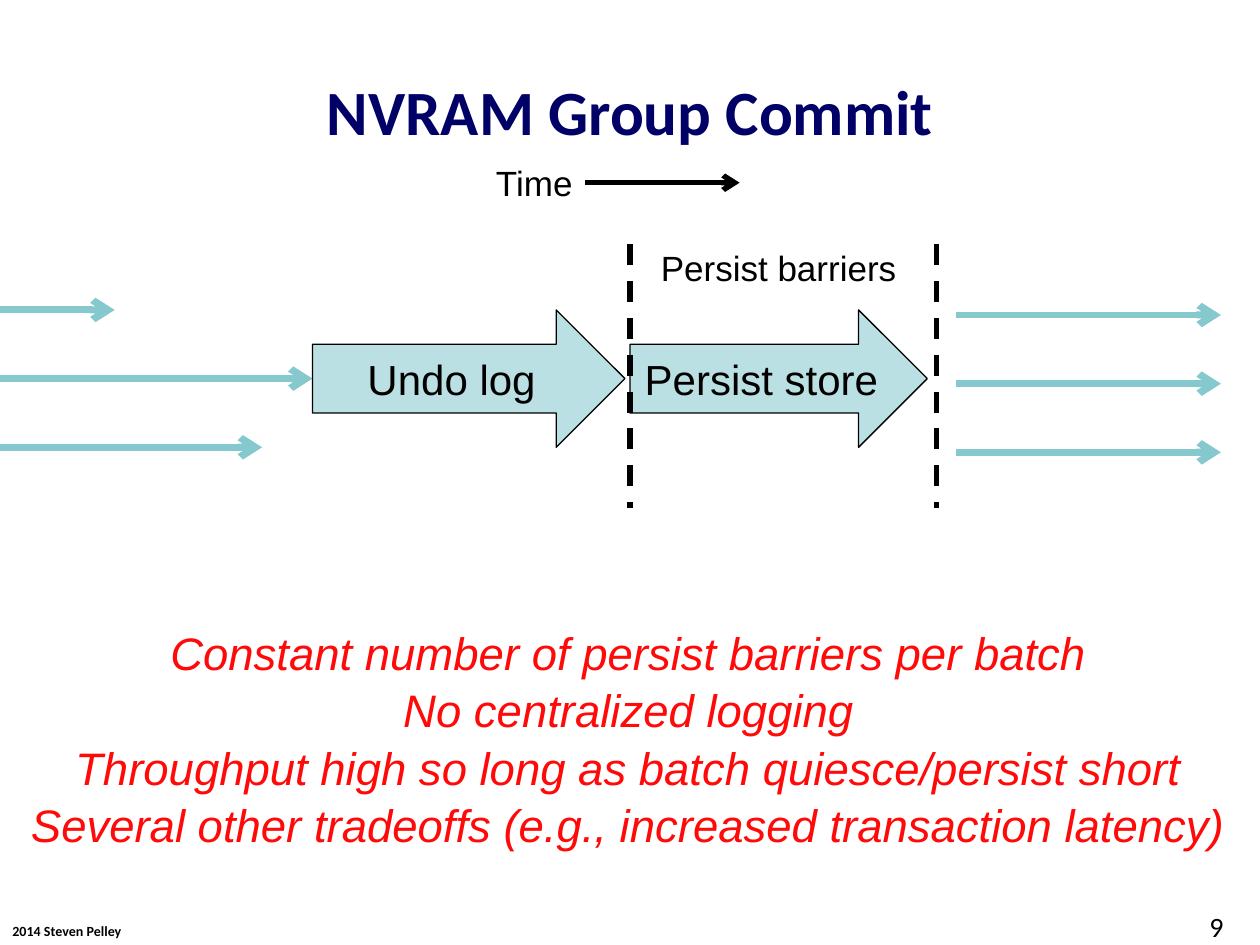
import pptx
import pptx.util
import pptx.dml.color
import pptx.enum.dml
import pptx.enum.shapes
import pptx.enum.text
import pptx.oxml.ns
import lxml.etree

Inches, Pt = pptx.util.Inches, pptx.util.Pt
ALIGN = pptx.enum.text.PP_ALIGN
ANCHOR = pptx.enum.text.MSO_ANCHOR

THEME = {
    "ink": "000000", "flow": "85C8CD", "fill": "BBE0E3",
    "title": dict(name="Calibri", size=36, color="000066", bold=True),
    "points": dict(name="Arial", size=26, color="FF0909", italic=True),
    "stage": dict(name="Arial", size=24, color="000000"),
    "label": dict(name="Arial", size=20, color="000000"),
    "number": dict(name="Calibri", size=16, color="000000"),
    "credit": dict(name="Calibri", size=8, color="000000", bold=True),
}

TITLE = "NVRAM Group Commit"
POINTS = [
    "Constant number of persist barriers per batch",
    "No centralized logging",
    "Throughput high so long as batch quiesce/persist short",
    "Several other tradeoffs (e.g., increased transaction latency)",
]
# text, style, box, alignment, wrap
LABELS = [
    ("2014 Steven Pelley", "credit", (0, 7.27, 1.07, 0.24), ALIGN.LEFT, False),
    ("9", "number", (9.5, 7.17, 0.5, 0.33), ALIGN.LEFT, True),
    ("Time", "label", (3.83, 1.23, 0.82, 0.44), ALIGN.CENTER, False),
    ("Persist barriers", "label", (4.98, 1.91, 2.4, 0.44), ALIGN.CENTER, True),
]
STAGE_TOP, STAGE_HEIGHT = 2.46, 1.09
STAGES = [("Undo log", 2.48, 2.48), ("Persist store", 5, 2.36)]
TIME_ARROW = (4.64, 5.87, 1.45)
LANE_STEP = STAGE_HEIGHT / 2
INCOMING = [(-2.68, 0.91), (-1.1, 2.48), (-1.5, 2.08)]
OUTGOING = [(7.59, 9.69)] * 3
OUTGOING_TOP = 2.5
BARRIERS = [5, 7.43]
BARRIER_SPAN = (1.94, 4.03)


def rgb(value):
    """Turn a hex string into a colour."""
    return pptx.dml.color.RGBColor.from_string(value)


def set_all(target, values):
    """Set every attribute in a dict of format values."""
    for name, value in values.items():
        setattr(target, name, value)


def write(shape, lines, style, box=None, align=ALIGN.CENTER,
          anchor=ANCHOR.TOP, wrap=True, spacing=1.0):
    """Place a shape and fill it with formatted paragraphs."""
    if box:
        set_all(shape, dict(zip(("left", "top", "width", "height"), map(Inches, box))))
    frame = shape.text_frame
    frame.text = "\n".join(lines)
    set_all(frame, dict(word_wrap=wrap, vertical_anchor=anchor,
                        auto_size=pptx.enum.text.MSO_AUTO_SIZE.NONE))
    font_values = dict(THEME[style])
    color = rgb(font_values.pop("color"))
    font_values["size"] = Pt(font_values["size"])
    for paragraph in frame.paragraphs:
        set_all(paragraph, dict(alignment=align, line_spacing=spacing,
                                space_before=Pt(0), space_after=Pt(0)))
        font = paragraph.runs[0].font
        set_all(font, font_values)
        font.color.rgb = color


def remove_bullets(shape):
    """Take bullets and indents off every paragraph."""
    for paragraph in shape.text_frame.paragraphs:
        properties = paragraph._p.get_or_add_pPr()
        properties.set("marL", "0")
        properties.set("indent", "0")
        lxml.etree.SubElement(properties, pptx.oxml.ns.qn("a:buNone"))


def add_line(shapes, start, end, color, width, arrow=False):
    """Draw a solid arrow, or a dashed line without a head."""
    line = shapes.add_connector(pptx.enum.shapes.MSO_CONNECTOR.STRAIGHT,
                                *map(Inches, start + end))
    line.line.color.rgb = rgb(color)
    line.line.width = Pt(width)
    if arrow:
        head = lxml.etree.SubElement(line.line._get_or_add_ln(), pptx.oxml.ns.qn("a:tailEnd"))
        head.set("type", "arrow")
    else:
        line.line.dash_style = pptx.enum.dml.MSO_LINE.DASH
    lxml.etree.SubElement(line._element.spPr, pptx.oxml.ns.qn("a:effectLst"))


def add_lanes(shapes, lanes, top):
    """Draw transaction arrows on evenly spaced lanes."""
    for row, (left, right) in enumerate(lanes):
        y = top + row * LANE_STEP
        add_line(shapes, (left, y), (right, y), THEME["flow"], 4, arrow=True)


def add_stage(shapes, text, left, width):
    """Draw a block arrow holding the name of a stage."""
    stage = shapes.add_shape(pptx.enum.shapes.MSO_SHAPE.RIGHT_ARROW,
                             *map(Inches, (left, STAGE_TOP, width, STAGE_HEIGHT)))
    stage.shadow.inherit = False
    stage.fill.solid()
    stage.fill.fore_color.rgb = rgb(THEME["fill"])
    stage.line.color.rgb = rgb(THEME["ink"])
    stage.line.width = Pt(0.75)
    write(stage, [text], "stage", anchor=ANCHOR.MIDDLE, wrap=False)


def build():
    """Build and save the slide."""
    presentation = pptx.Presentation()
    set_all(presentation, dict(slide_width=Inches(10), slide_height=Inches(7.5)))
    slide = presentation.slides.add_slide(presentation.slide_layouts[1])
    shapes = slide.shapes

    write(shapes.title, [TITLE], "title", (0.5, 0.5, 9, 0.75), anchor=ANCHOR.MIDDLE)
    body = slide.placeholders[1]
    write(body, POINTS, "points", (0.1, 4.89, 9.78, 1.85), wrap=False, spacing=1.05)
    remove_bullets(body)

    left, right, y = TIME_ARROW
    add_line(shapes, (left, y), (right, y), THEME["ink"], 3, arrow=True)
    add_lanes(shapes, INCOMING, STAGE_TOP)
    for stage in STAGES:
        add_stage(shapes, *stage)
    add_lanes(shapes, OUTGOING, OUTGOING_TOP)
    for x in BARRIERS:
        add_line(shapes, (x, BARRIER_SPAN[0]), (x, BARRIER_SPAN[1]), THEME["ink"], 3)
    for text, style, box, align, wrap in LABELS:
        label = shapes.add_textbox(*map(Inches, box))
        write(label, [text], style, align=align, wrap=wrap)
    presentation.save("out.pptx")


build()
